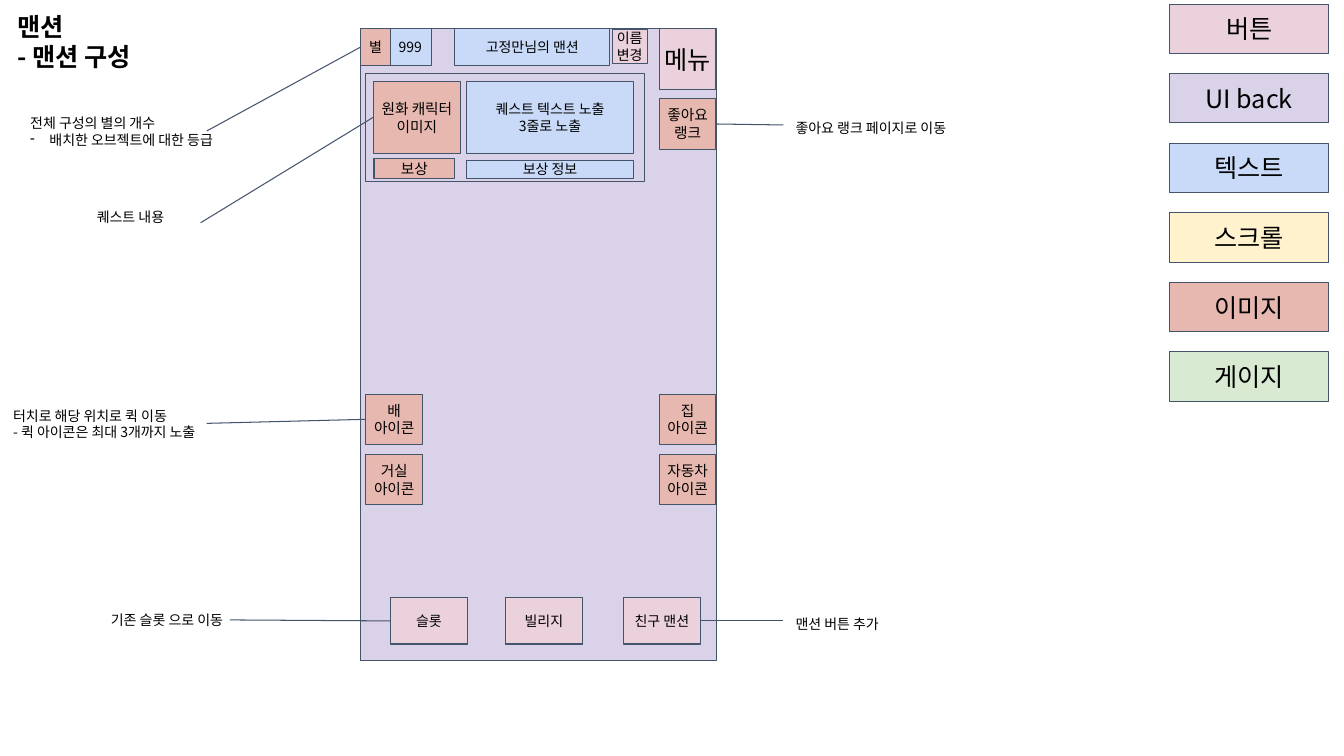
from dataclasses import dataclass

from lxml import etree
from pptx import Presentation
from pptx.dml.color import RGBColor
from pptx.enum.shapes import MSO_CONNECTOR as Connector, MSO_SHAPE as Shape
from pptx.enum.text import MSO_ANCHOR as Anchor, MSO_AUTO_SIZE as AutoSize, PP_ALIGN as Align
from pptx.oxml.ns import qn
from pptx.util import Inches, Pt


@dataclass(frozen=True)
class Theme:
    font: str = "Noto Sans CJK KR"
    ink: str = "000000"
    outline: str = "44546A"
    button: str = "EAD1DC"
    back: str = "D9D2E9"
    text: str = "C9DAF8"
    scroll: str = "FFF2CC"
    image: str = "E6B8AF"
    gauge: str = "D9EAD3"
    large: float = 18
    icon: float = 10.5
    small: float = 10
    line: float = 0.75


theme = Theme()


def write(shape, text, size, align=Align.LEFT, anchor=Anchor.MIDDLE, bold=False):
    frame = shape.text_frame
    frame.text = text
    frame.word_wrap = True
    frame.auto_size = AutoSize.NONE
    frame.vertical_anchor = anchor
    frame.margin_left = frame.margin_top = frame.margin_right = frame.margin_bottom = 0
    for paragraph in frame.paragraphs:
        paragraph.alignment = align
        for run in paragraph.runs:
            run.font.size = Pt(size)
            run.font.bold = bold
            run.font.color.rgb = RGBColor.from_string(theme.ink)
            run.font.name = theme.font
            east_asian = etree.SubElement(run.font._element, qn("a:ea"))
            east_asian.set("typeface", theme.font)


def add_box(shapes, position, fill, text="", size=theme.small):
    box = shapes.add_shape(Shape.RECTANGLE, *map(Inches, position))
    box.shadow.inherit = False
    box.fill.solid()
    box.fill.fore_color.rgb = RGBColor.from_string(fill)
    box.line.color.rgb = RGBColor.from_string(theme.outline)
    box.line.width = Pt(theme.line)
    write(box, text, size, Align.CENTER)
    return box


presentation = Presentation()
presentation.slide_width = Inches(13.33)
presentation.slide_height = Inches(7.5)
slide = presentation.slides.add_slide(presentation.slide_layouts[5])

title = slide.shapes.title
title.left, title.top, title.width, title.height = map(Inches, (0.17, 0.11, 2.62, 1.18))
write(title, "맨션\n- 맨션 구성", theme.large, anchor=Anchor.TOP, bold=True)

# Colour legend
legend = slide.shapes.add_group_shape()
legend_items = [
    ("버튼", theme.button),
    ("UI back", theme.back),
    ("텍스트", theme.text),
    ("스크롤", theme.scroll),
    ("이미지", theme.image),
    ("게이지", theme.gauge),
]
for row, (label, fill) in enumerate(legend_items):
    add_box(legend.shapes, (11.6, 0.04 + 0.69 * row, 1.58, 0.49), fill, label, theme.large)

# Phone screen and its top bar
add_box(slide.shapes, (3.58, 0.28, 3.53, 6.27), theme.back)
add_box(slide.shapes, (6.54, 0.28, 0.56, 0.61), theme.button, "메뉴", theme.large)
add_box(slide.shapes, (3.86, 0.28, 0.42, 0.37), theme.text, "999")
star = add_box(slide.shapes, (3.58, 0.28, 0.29, 0.37), theme.image, "별")
add_box(slide.shapes, (4.51, 0.28, 1.54, 0.37), theme.text, "고정만님의 맨션")
add_box(slide.shapes, (6.07, 0.29, 0.35, 0.34), theme.button, "이름 변경")

# Quest panel
quest = slide.shapes.add_group_shape()
add_box(quest.shapes, (3.63, 0.73, 2.76, 1.07), theme.back)
add_box(quest.shapes, (4.63, 0.81, 1.65, 0.71), theme.text, "퀘스트 텍스트 노출\n3줄로 노출")
character = add_box(quest.shapes, (3.7, 0.81, 0.87, 0.71), theme.image,
                    "원화 캐릭터\n이미지", theme.icon)
add_box(quest.shapes, (4.63, 1.59, 1.65, 0.18), theme.text, "보상 정보")
add_box(quest.shapes, (3.71, 1.57, 0.8, 0.2), theme.image, "보상", theme.icon)

# Side icons
icons = {}
for label, left, top in [
    ("좋아요 랭크", 6.54, 0.98),
    ("배 아이콘", 3.63, 3.91),
    ("집 아이콘", 6.54, 3.91),
    ("거실 아이콘", 3.63, 4.51),
    ("자동차 아이콘", 6.54, 4.51),
]:
    icons[label] = add_box(slide.shapes, (left, top, 0.56, 0.5), theme.image, label, theme.icon)

# Bottom buttons
buttons = {}
for label, left in [("슬롯", 3.87), ("빌리지", 5.01), ("친구 맨션", 6.18)]:
    buttons[label] = add_box(slide.shapes, (left, 5.93, 0.77, 0.46), theme.button, label)

# Notes: text, left, top, line start, target, side of the target
LEFT_SIDE, RIGHT_SIDE = 1, 3
notes = [
    ("전체 구성의 별의 개수\n배치한 오브젝트에 대한 등급", 0.3, 1.06, (2.05, 1.3), star, LEFT_SIDE),
    ("퀘스트 내용", 0.96, 1.91, (1.99, 2.21), character, LEFT_SIDE),
    ("터치로 해당 위치로 퀵 이동\n- 퀵 아이콘은 최대 3개까지 노출", 0.13, 3.96, (2.05, 4.2),
     icons["배 아이콘"], LEFT_SIDE),
    ("기존 슬롯 으로 이동", 1.1, 5.9, (2.28, 6.15), buttons["슬롯"], LEFT_SIDE),
    ("좋아요 랭크 페이지로 이동", 7.89, 1.02, (7.77, 1.24), icons["좋아요 랭크"], RIGHT_SIDE),
    ("맨션 버튼 추가", 7.89, 5.94, (7.77, 6.16), buttons["친구 맨션"], RIGHT_SIDE),
]
for text, left, top, start, target, side in notes:
    x, y = map(Inches, start)
    connector = slide.shapes.add_connector(Connector.STRAIGHT, x, y, x, y)
    connector.end_connect(target, side)
    connector.line.color.rgb = RGBColor.from_string(theme.outline)
    connector.line.width = Pt(theme.line)
    etree.SubElement(connector._element.spPr, qn("a:effectLst"))

    note = slide.shapes.add_textbox(*map(Inches, (left, top, 1.92, 0.49)))
    write(note, text, theme.small)
    if target is star:
        properties = note.text_frame.paragraphs[1]._p.get_or_add_pPr()
        properties.set("marL", str(Inches(0.19)))
        properties.set("indent", str(-Inches(0.19)))
        etree.SubElement(properties, qn("a:buChar")).set("char", "-")

presentation.save("out.pptx")
